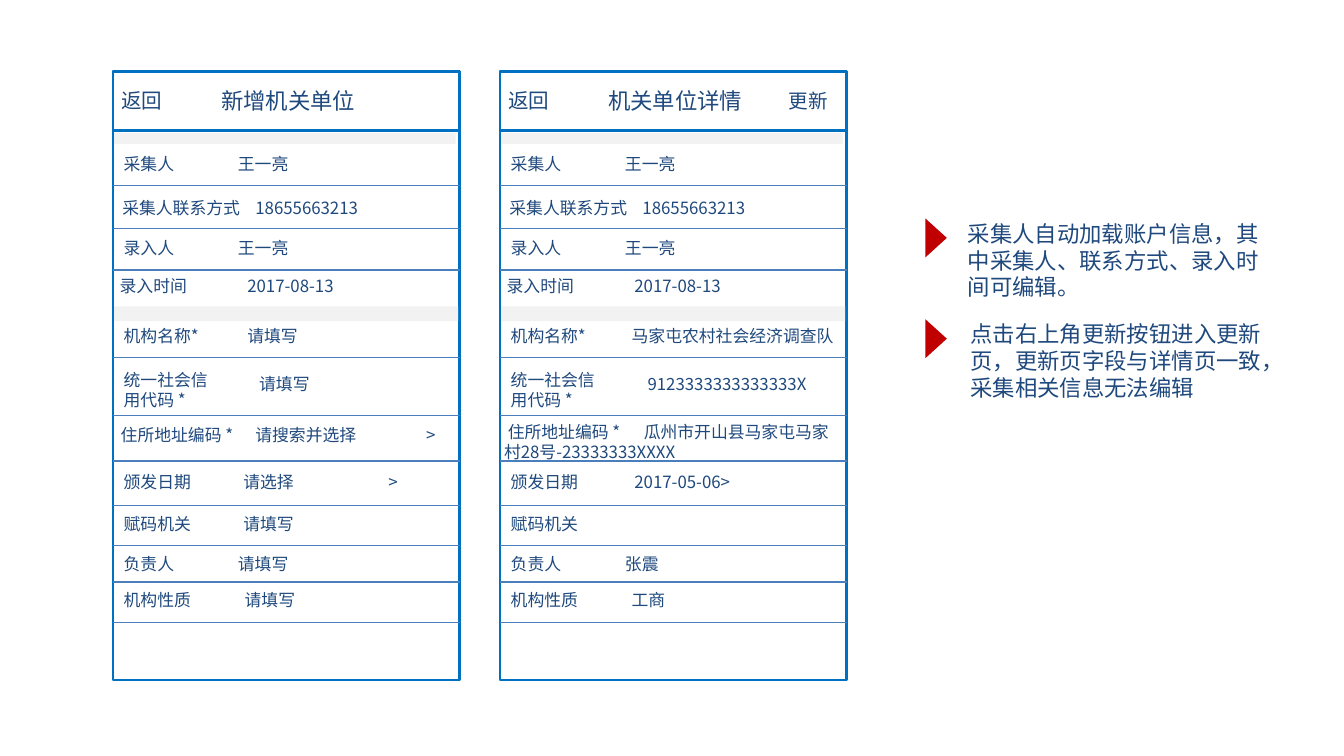
from lxml import etree
from pptx import Presentation
from pptx import util as u
from pptx.dml.color import RGBColor
from pptx.enum import shapes, text
from pptx.oxml import ns

THEME = {
    "font": "Noto Sans CJK SC",
    "ink": "1F497D", "frame": "0070C0", "divider": "4B7EBC",
    "band": "F2F2F2", "marker": "C00000", "paper": "FFFFFF",
    "title": 12, "back": 11, "action": 10.5, "field": 9,
}

SLIDE_WIDTH = 10
SLIDE_HEIGHT = SLIDE_WIDTH * 9 / 16
PANEL_TOP, PANEL_WIDTH, PANEL_HEIGHT, HEADER_HEIGHT = 0.53, 2.58, 4.53, 0.44
FIELD_WIDTH, LINE_HEIGHT = 2.42, 0.15
DIVIDERS = [1.38, 1.7, 2.01, 2.66, 3.09, 3.43, 3.76, 4.06, 4.33, 4.63]
BANDS = [(0.99, 2.54, 0.08), (2.28, 2.56, 0.11)]

FIELDS = [
    ("采集人", 0.08, 1.14),
    ("采集人联系方式", 0.07, 1.47),
    ("录入人", 0.08, 1.77),
    ("录入时间", 0.05, 2.05),
    ("机构名称*", 0.08, 2.42),
    ("统一社会信\n用代码 *", 0.08, 2.75),
    (" 住所地址编码 *", 0.03, 3.16),
    ("颁发日期", 0.08, 3.51),
    ("赋码机关", 0.08, 3.82),
    ("负责人", 0.08, 4.12),
    ("机构性质", 0.08, 4.39),
]
COLLECTION = [
    [(0.93, "王一亮")], [(1.06, "18655663213")],
    [(0.93, "王一亮")], [(1.0, "2017-08-13")],
]
PANELS = [
    (0.84, "新增机关单位", None, 0.58, COLLECTION + [
        [(1.0, "请填写")], [(1.09, "请填写")],
        [(1.06, "请搜索并选择"), (2.33, ">")],
        [(0.97, "请选择"), (2.05, ">")],
        [(0.97, "请填写")], [(0.93, "请填写")], [(0.98, "请填写")],
    ]),
    (3.72, "机关单位详情", "更新", 1.46, COLLECTION + [
        [(0.98, "马家屯农村社会经济调查队")], [(1.1, "9123333333333333X")],
        [(1.07, "瓜州市开山县马家屯马家村28号-23333333XXXX")],
        [(1.0, "2017-05-06>")],
        [], [(0.93, "张震")], [(0.98, "工商")],
    ]),
]
NOTES = [
    (7.2, 1.63, "采集人自动加载账户信息，其中采集人、联系方式、录入时间可编辑。"),
    (7.22, 2.38, "点击右上角更新按钮进入更新页，更新页字段与详情页一致，采集相关信息无法编辑"),
]


def color(name):
    return RGBColor.from_string(THEME[name])


def add_box(slide, box, fill=None, line=None, kind=shapes.MSO_SHAPE.RECTANGLE):
    shape = slide.shapes.add_shape(kind, *map(u.Inches, box))
    shape.shadow.inherit = False
    if fill:
        shape.fill.solid()
        shape.fill.fore_color.rgb = color(fill)
    else:
        shape.fill.background()
    if line:
        shape.line.color.rgb = color(line)
        shape.line.width = u.Pt(1.5)
    else:
        shape.line.fill.background()
    return shape


def add_text(slide, content, box, size="field", align=text.PP_ALIGN.LEFT,
             anchor=text.MSO_ANCHOR.MIDDLE, tabs=(), fill="paper", inset=0, wrap=True):
    if fill:
        shape = add_box(slide, box, fill=fill)
    else:
        shape = slide.shapes.add_textbox(*map(u.Inches, box))
    frame = shape.text_frame
    frame.word_wrap = wrap
    frame.vertical_anchor = anchor
    frame.margin_left = frame.margin_right = u.Inches(inset)
    frame.margin_top = frame.margin_bottom = u.Inches(inset / 2)
    for index, line in enumerate(content.split("\n")):
        paragraph = frame.add_paragraph() if index else frame.paragraphs[0]
        paragraph.alignment = align
        if tabs:
            stops = etree.SubElement(paragraph._p.get_or_add_pPr(), ns.qn("a:tabLst"))
            for position in tabs:
                etree.SubElement(stops, ns.qn("a:tab"), pos=str(u.Inches(position)), algn="l")
        run = paragraph.add_run()
        run.text = line
        run.font.size = u.Pt(THEME[size])
        run.font.name = THEME["font"]
        run.font.color.rgb = color("ink")
        etree.SubElement(run._r.get_or_add_rPr(), ns.qn("a:ea"), typeface=THEME["font"])


def add_divider(slide, left, y):
    ends = map(u.Inches, (left, y, left + PANEL_WIDTH, y))
    connector = slide.shapes.add_connector(shapes.MSO_CONNECTOR.STRAIGHT, *ends)
    connector.line.color.rgb = color("divider")
    connector.line.width = u.Pt(0.75)
    etree.SubElement(connector._element.spPr, ns.qn("a:effectLst"))


def add_field(slide, left, field, values, code_width):
    label, offset, top = field
    x = left + offset
    if "\n" in label:
        add_text(slide, label, (x, top, FIELD_WIDTH, 2 * LINE_HEIGHT))
        for position, value in values:
            add_text(slide, value, (left + position - 0.1, top - 0.02, code_width, 0.25),
                     fill=None, inset=0.1, wrap=False)
        return
    height = LINE_HEIGHT
    if any(len(value) > 20 for position, value in values):
        height, top = 2 * LINE_HEIGHT, top - 0.02
    content = "\t".join([label] + [value for position, value in values])
    tabs = [position - offset for position, value in values]
    add_text(slide, content, (x, top, FIELD_WIDTH, height), tabs=tabs)


def add_panel(slide, left, title, action, code_width, values):
    center = text.PP_ALIGN.CENTER
    add_box(slide, (left, PANEL_TOP, PANEL_WIDTH, HEADER_HEIGHT), "paper", "frame")
    add_text(slide, title, (left + 0.59, 0.6, 1.43, 0.3), size="title", align=center,
             fill=None, inset=0.1)
    add_box(slide, (left, PANEL_TOP, PANEL_WIDTH, PANEL_HEIGHT), line="frame")
    add_text(slide, "返回", (left + 0.03, 0.66, 0.37, 0.17), size="back", align=center)
    for field, entries in zip(FIELDS, values):
        add_field(slide, left, field, entries, code_width)
    for y in DIVIDERS:
        add_divider(slide, left, y)
    for top, width, height in BANDS:
        add_box(slide, (left + 0.01, top, width, height), "band")
    if action:
        add_text(slide, action, (left + 2.15, 0.66, 0.45, 0.18), size="action",
                 anchor=text.MSO_ANCHOR.TOP, fill=None)


def main():
    presentation = Presentation()
    presentation.slide_width = u.Inches(SLIDE_WIDTH)
    presentation.slide_height = u.Inches(SLIDE_HEIGHT)
    slide = presentation.slides.add_slide(presentation.slide_layouts[6])
    for panel in PANELS:
        add_panel(slide, *panel)
    for left, top, note in NOTES:
        add_text(slide, note, (left, top, 2.28, 0.61), size="title")
        marker = add_box(slide, (6.82, top + 0.06, 0.29, 0.16), "marker",
                         kind=shapes.MSO_SHAPE.ISOSCELES_TRIANGLE)
        marker.rotation = 90
    presentation.save("out.pptx")


if __name__ == "__main__":
    main()
